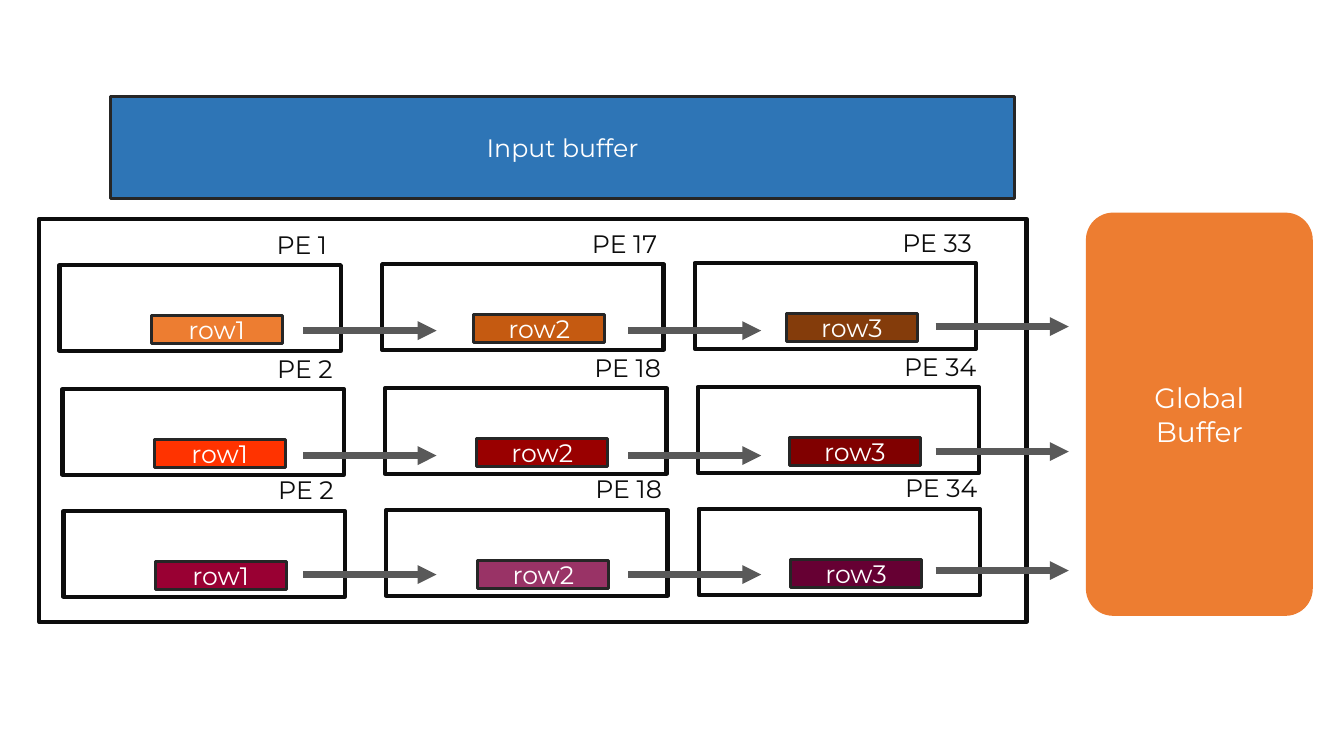
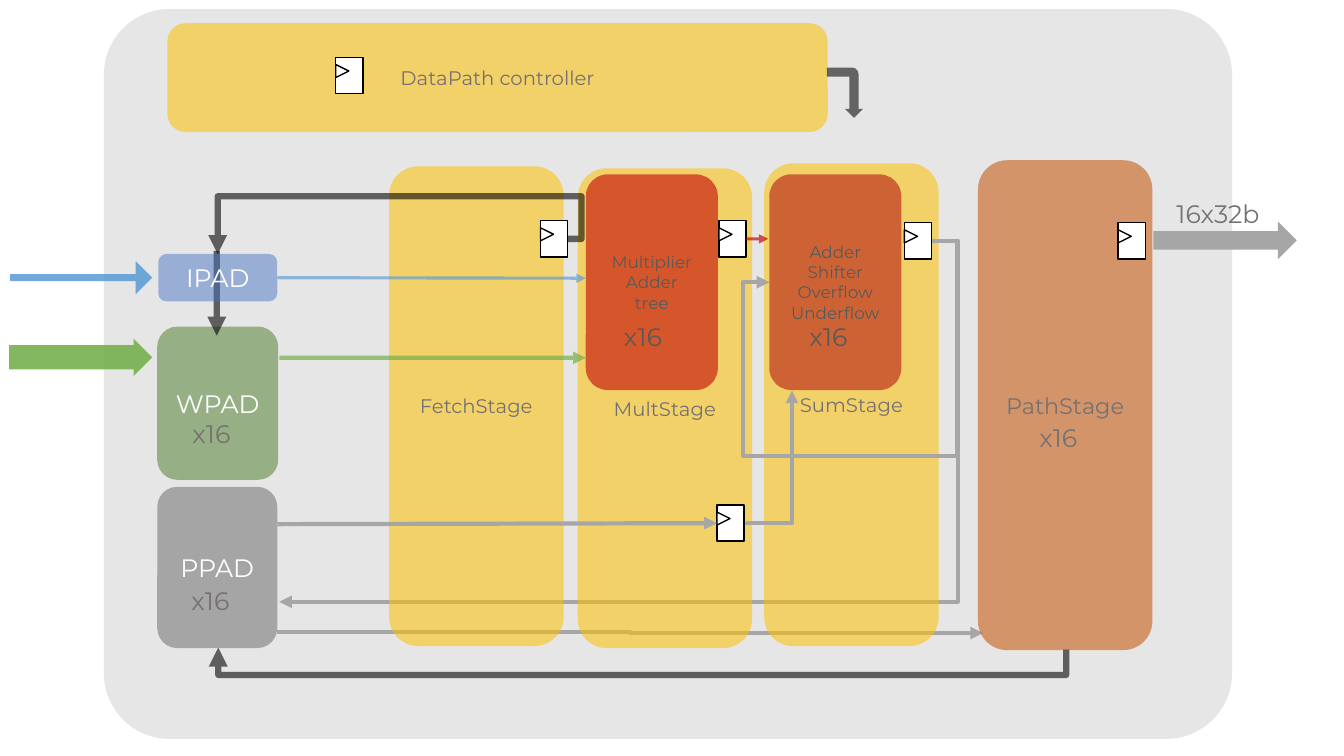
from lxml.etree import SubElement
from pptx import Presentation
from pptx.dml.color import RGBColor
from pptx.enum.shapes import MSO_CONNECTOR as CXN, MSO_SHAPE as MS
from pptx.enum.text import MSO_ANCHOR, PP_ALIGN
from pptx.oxml.ns import qn
from pptx.util import Inches, Pt

FONT = "Montserrat"
WHITE = RGBColor(0xFF, 0xFF, 0xFF)
BLACK = RGBColor(0, 0, 0)
INK = RGBColor(0x0D, 0x0D, 0x0D)
EDGE = RGBColor(0x26, 0x26, 0x26)
DARK = RGBColor(0x59, 0x59, 0x59)
MUTED = RGBColor(0x76, 0x71, 0x71)
SILVER = RGBColor(0xA6, 0xA6, 0xA6)
GRAY = RGBColor(0xA5, 0xA5, 0xA5)
PANEL = RGBColor(0xE7, 0xE6, 0xE6)
ORANGE = RGBColor(0xED, 0x7D, 0x31)
RUST = RGBColor(0xC5, 0x5A, 0x11)
STEEL = RGBColor(0x2E, 0x75, 0xB6)
SKY = RGBColor(0x5B, 0x9B, 0xD5)
BLUE = RGBColor(0x44, 0x72, 0xC4)
GOLD = RGBColor(0xFF, 0xC0, 0x00)
GREEN = RGBColor(0x70, 0xAD, 0x47)
MOSS = RGBColor(0x54, 0x82, 0x35)
RED = RGBColor(0xC0, 0x00, 0x00)
CRIMSON = RGBColor(0xAF, 0x09, 0x09)

COLUMN_X = (0.59, 3.79, 6.89)
COLUMN_ARROWS = ((3.01, 0), (6.23, 0), (9.28, -0.04))
PE_ROWS = [
    (0, 2.63, 3.28, ("PE 1", "PE 17", "PE 33"), ("ED7D31", "C55A11", "843C0B")),
    (0.03, 3.86, 4.52, ("PE 2", "PE 18", "PE 34"), ("FF3300", "990000", "800000")),
    (0.04, 5.07, 5.7, ("PE 2", "PE 18", "PE 34"), ("990033", "993366", "660033")),
]

BLOCKS = [
    ("FetchStage", (3.86, 1.65, 1.73, 4.76), GOLD, 54, 14, MUTED),
    ("MultStage", (5.73, 1.67, 1.73, 4.76), GOLD, 54, 14, MUTED),
    ("SumStage", (7.58, 1.62, 1.73, 4.79), GOLD, 54, 14, MUTED),
    ("PathStage", (9.7, 1.59, 1.73, 4.86), RUST, 58, 16, MUTED),
    ("DataPath controller", (1.66, 0.23, 6.55, 1.08), GOLD, 54, 14, MUTED),
    ("WPAD", (1.56, 3.24, 1.2, 1.52), MOSS, 55, 18, WHITE),
    ("PPAD", (1.56, 4.83, 1.19, 1.6), GRAY, 100, 18, WHITE),
    ("Multiplier\nAdder\ntree", (5.81, 1.73, 1.31, 2.14), RED, 59, 12, DARK),
    ("Adder\nShifter\nOverflow\nUnderflow", (7.63, 1.73, 1.31, 2.14), CRIMSON, 55, 12, DARK),
]
IPAD = ("IPAD", (1.57, 2.52, 1.18, 0.47), BLUE, 48, 18, WHITE)
CAPTIONS = [
    ("x16", 1.81, 4.1, 0.71, MUTED), ("x16", 1.8, 5.76, 0.71, MUTED),
    ("x16", 6.09, 3.14, 0.71, DARK), ("x16", 7.93, 3.14, 0.71, DARK),
    ("x16", 10.21, 4.14, 0.71, MUTED), ("16x32b", 11.57, 1.92, 1.21, MUTED),
]
REGISTERS = {
    "controller": (3.33, 0.57), "fetch": (5.36, 2.19), "mult": (7.13, 2.19),
    "partial": (7.11, 5.01), "sum": (8.97, 2.21), "path": (11.09, 2.21),
}
BACK_ELBOWS = [
    ((2.75, 6.27), (9.75, 6.28), 0, (0.5,), SILVER, 3, 100),
    ((9.24, 2.39), (2.77, 5.97), 0, (-0.04,), SILVER, 3, 100),
]
FRONT_ELBOWS = [
    ((8.3, 4.76), (6.97, 4.32), 90, (0.01,), SILVER, 3, 100),
    ((6.38, 2.23), (6.36, 10.64), 90, (-12.5,), BLACK, 4.5, 58),
    ((5.63, 2.37), (2.16, 2.52), 0, (-0.04, -2.82), BLACK, 4.5, 58),
    ((9.24, 2.39), (7.63, 2.8), 0, (-0.16, 5.2, 1.16), SILVER, 3, 100),
]
DATA_ARROWS = [
    ((2.77, 3.55), (5.81, 3.55), GREEN, 3, 67, None, None),
    ((2.75, 5.2), (7.11, 5.19), SILVER, 3, 100, None, "partial"),
    ((2.75, 2.76), (5.81, 2.76), SKY, 2.25, 65, "IPAD", None),
    ((7.4, 2.37), (7.62, 2.37), RED, 2.25, 65, "mult", None),
]
PORTS = [
    (MS.RIGHT_ARROW, (11.44, 2.2, 1.42, 0.37), SILVER, 100, (0.5, 0.5), 0),
    (MS.RIGHT_ARROW, (0.09, 3.36, 1.42, 0.37), GREEN, 86, (0.65, 0.5), 0),
    (MS.RIGHT_ARROW, (0.1, 2.59, 1.41, 0.33), SKY, 86, (0.21, 0.5), 0),
    (MS.BENT_ARROW, (8.13, 0.74, 0.5, 0.36), BLACK, 57, (0.25, 0.25, 0.25, 0.18), 90),
]


def set_alpha(obj, percent):
    if percent < 100:
        clr = next(obj._element.spPr.iter(qn("a:srgbClr")))
        SubElement(clr, qn("a:alpha")).set("val", str(percent * 1000))


def write(sp, text, size, color, align=PP_ALIGN.CENTER):
    tf = sp.text_frame
    tf.text = text
    for p in tf.paragraphs:
        p.alignment = align
        for r in p.runs:
            r.font.name, r.font.size = FONT, Pt(size)
            r.font.color.rgb = color


def shape(shapes, kind, box, fill=None, line=None, width=1, alpha=100, adj=(), rot=0):
    sp = shapes.add_shape(kind, *map(Inches, box))
    sp.shadow.inherit = False
    sp.rotation = rot
    for i, value in enumerate(adj):
        sp.adjustments[i] = value
    if fill is None:
        sp.fill.background()
    else:
        sp.fill.solid()
        sp.fill.fore_color.rgb = fill
        set_alpha(sp, alpha)
    if line is None:
        sp.line.fill.background()
    else:
        sp.line.color.rgb = line
        sp.line.width = Pt(width)
    return sp


def label(shapes, text, box, color, wrap=True):
    sp = shapes.add_textbox(*map(Inches, box))
    tf = sp.text_frame
    tf.word_wrap = wrap
    tf.vertical_anchor = MSO_ANCHOR.MIDDLE if wrap else MSO_ANCHOR.TOP
    write(sp, text, 18, color, PP_ALIGN.CENTER if wrap else PP_ALIGN.LEFT)


def arrow(shapes, start, end, color, width, alpha=100, kind=CXN.STRAIGHT):
    c = shapes.add_connector(kind, *map(Inches, start + end))
    c.line.color.rgb = color
    c.line.width = Pt(width)
    set_alpha(c, alpha)
    spPr = c._element.spPr
    SubElement(spPr.find(qn("a:ln")), qn("a:tailEnd")).set("type", "triangle")
    SubElement(spPr, qn("a:effectLst"))
    return c


def elbow(shapes, start, end, rot, adj, color, width, alpha):
    c = arrow(shapes, start, end, color, width, alpha, CXN.ELBOW)
    spPr = c._element.spPr
    if rot:
        spPr.find(qn("a:xfrm")).set("rot", str(rot * 60000))
    geom = spPr.find(qn("a:prstGeom"))
    geom.set("prst", f"bentConnector{len(adj) + 2}")
    guides = geom.find(qn("a:avLst"))
    for i, value in enumerate(adj, 1):
        gd = SubElement(guides, qn("a:gd"))
        gd.set("name", f"adj{i}")
        gd.set("fmla", f"val {round(value * 100000)}")


def block(shapes, text, box, fill, alpha, size, color):
    sp = shape(shapes, MS.ROUNDED_RECTANGLE, box, fill, alpha=alpha)
    write(sp, text, size, color)
    return sp


def register(shapes, x, y):
    group = shapes.add_group_shape().shapes
    body = shape(group, MS.RECTANGLE, (x, y, 0.27, 0.36), WHITE, BLACK)
    shape(group, MS.ISOSCELES_TRIANGLE, (x, y + 0.07, 0.13, 0.13), WHITE, BLACK, rot=90)
    return body


def build_buffers(shapes):
    shape(shapes, MS.RECTANGLE, (0.39, 2.17, 9.79, 4), line=INK, width=3)
    sp = shape(shapes, MS.RECTANGLE, (1.1, 0.96, 8.96, 1.01), STEEL, EDGE, 2.25)
    write(sp, "Input buffer", 18, WHITE)
    for shift, top, arrow_y, names, fills in PE_ROWS:
        for col, (left, name, fill) in enumerate(zip(COLUMN_X, names, fills)):
            x, y = left + shift, top - 0.01 * col
            shape(shapes, MS.RECTANGLE, (x, y, 2.79, 0.85), line=INK, width=3)
            label(shapes, name, (x + 1.87, y - 0.45, 1.07, 0.48), INK)
            sp = shape(shapes, MS.RECTANGLE, (x + 0.91, y + 0.5, 1.3, 0.28),
                       RGBColor.from_string(fill), EDGE, 2.25)
            write(sp, f"row{col + 1}", 18, WHITE)
        for x, lift in COLUMN_ARROWS:
            y = arrow_y + lift
            arrow(shapes, (x, y), (x + 1.32, y), DARK, 4.5)
    sp = shape(shapes, MS.ROUNDED_RECTANGLE, (10.77, 2.11, 2.25, 4), ORANGE, adj=(0.12,))
    write(sp, "Global\nBuffer", 20, WHITE)


def build_datapath(shapes):
    shape(shapes, MS.ROUNDED_RECTANGLE, (1.03, 0.09, 11.19, 7.24), PANEL, adj=(0.09,))
    for item in BACK_ELBOWS:
        elbow(shapes, *item)
    nodes = {item[0]: block(shapes, *item) for item in BLOCKS}
    for text, x, y, w, color in CAPTIONS:
        label(shapes, text, (x, y, w, 0.4), color, wrap=False)
    for kind, box, fill, alpha, adj, rot in PORTS:
        shape(shapes, kind, box, fill, alpha=alpha, adj=adj, rot=rot)
    arrow(shapes, (2.15, 2.49), (2.15, 3.33), BLACK, 4.5, 59)
    for item in FRONT_ELBOWS:
        elbow(shapes, *item)
    nodes["IPAD"] = block(shapes, *IPAD)
    for name, (x, y) in REGISTERS.items():
        nodes[name] = register(shapes, x, y)
    for start, end, color, width, alpha, source, target in DATA_ARROWS:
        c = arrow(shapes, start, end, color, width, alpha)
        if source:
            c.begin_connect(nodes[source], 3)
        if target:
            c.end_connect(nodes[target], 1)


def main():
    prs = Presentation()
    prs.slide_width, prs.slide_height = Inches(13.33), Inches(7.5)
    for build in (build_buffers, build_datapath):
        build(prs.slides.add_slide(prs.slide_layouts[6]).shapes)
    prs.save("out.pptx")


if __name__ == "__main__":
    main()
